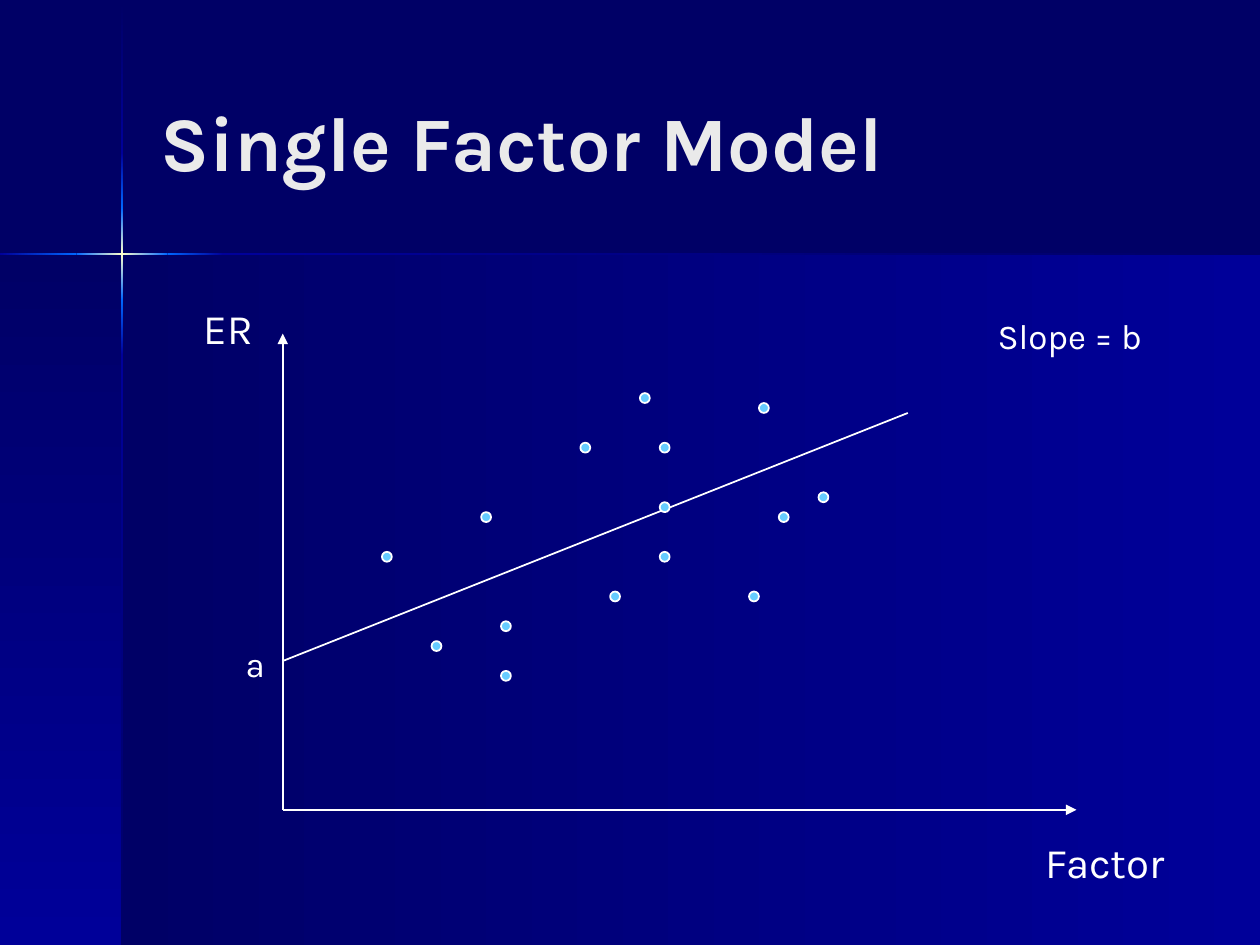
import copy
import itertools
from dataclasses import dataclass

import pptx
import pptx.dml.color
import pptx.enum.shapes
import pptx.enum.text
import pptx.oxml
import pptx.oxml.ns
import pptx.util

FONT = "Karla"
NAVY, BLUE, AZURE, GLINT = "000066", "000099", "0066FF", "FFFFCC"
WHITE, PALE, SKY = "FFFFFF", "EAEAEA", "66CCFF"

# The slide is a grid of 127 columns of square cells; row 0 sits just below the top
COLS, LAST_ROW = 127, 95.1
CELL = 10 / COLS
TOP = 0.01

DOWN, RIGHT = 270, 0  # gradient directions, counter-clockwise degrees
CROSS_COL, CROSS_ROW, RAY = 12.3, 25.5, 0.25


@dataclass
class Label:
    text: str
    col: float
    row: float
    cols: float
    rows: float
    size: int
    color: str = WHITE
    title: bool = False


@dataclass
class Line:
    start: tuple[float, float]
    end: tuple[float, float]
    arrow: bool = False


LABELS = [
    Label("Single Factor Model", 14.9, 4.05, 104.8, 19.95, 44, PALE, True),
    Label("ER", 19.3, 29.7, 7.5, 6.35, 24),
    Label("Factor", 104.1, 83.55, 15, 6.35, 24),
    Label("a", 23.5, 64, 4.45, 5.6, 20),
    Label("Slope = b", 99.3, 31, 17.65, 5.6, 20),
]
ORIGIN = (28.5, 81.5)
LINES = [
    Line(ORIGIN, (28.5, 33.5), True),
    Line(ORIGIN, (108.5, 81.5), True),
    Line((28.5, 66.5), (91.5, 41.5)),
]
# Centres of the observations, as column and row
POINTS = [(39, 56), (49, 52), (44, 65), (51, 63), (51, 68), (83, 50), (65, 40), (59, 45),
          (67, 51), (67, 56), (67, 45), (77, 41), (76, 60), (79, 52), (62, 60)]

# Rays of the star: edges along each arm and the colours between them
RAY_COLORS = [(NAVY, BLUE), (BLUE, AZURE), (AZURE, GLINT, AZURE), (AZURE, BLUE), (BLUE, NAVY)]
RAY_ROWS = [0, 15.25, 20.85, 30.1, 35.7, LAST_ROW]
RAY_COLS = [0, 7.7, 16.9, 22.5, COLS]


def rgb(color: str) -> pptx.dml.color.RGBColor:
    return pptx.dml.color.RGBColor.from_string(color)


def x(col: float) -> pptx.util.Emu:
    return pptx.util.Inches(col * CELL)


def y(row: float) -> pptx.util.Emu:
    return pptx.util.Inches(row * CELL + TOP)


def add_shape(slide, kind, col: float, row: float, cols: float, rows: float):
    sp = slide.shapes.add_shape(kind, x(col), y(row), x(cols), x(rows))
    sp.shadow.inherit = False
    return sp


def add_band(slide, col: float, row: float, cols: float, rows: float,
             colors: tuple[str, ...], angle: int) -> None:
    sp = add_shape(slide, pptx.enum.shapes.MSO_SHAPE.RECTANGLE, col, row, cols, rows)
    sp.line.fill.background()
    sp.fill.gradient()
    sp.fill.gradient_angle = angle
    # A new gradient has two stops; a third goes in the middle
    stops = next(sp._element.spPr.iter(pptx.oxml.ns.qn("a:gsLst")))
    if len(colors) == 3:
        middle = copy.deepcopy(stops[0])
        middle.set("pos", "50000")
        stops.insert(1, middle)
    for stop, color in zip(sp.fill.gradient_stops, colors):
        stop.color.rgb = rgb(color)


def add_backdrop(slide) -> None:
    slide.background.fill.solid()
    slide.background.fill.fore_color.rgb = rgb(NAVY)
    depth = LAST_ROW - CROSS_ROW
    add_band(slide, CROSS_COL, CROSS_ROW, COLS - CROSS_COL, depth, (NAVY, BLUE), RIGHT)
    add_band(slide, 0, CROSS_ROW, CROSS_COL, depth, (NAVY, BLUE), DOWN)
    for (start, end), colors in zip(itertools.pairwise(RAY_ROWS), RAY_COLORS):
        add_band(slide, CROSS_COL - RAY / 2, start, RAY, end - start, colors, DOWN)
    for (start, end), colors in zip(itertools.pairwise(RAY_COLS), RAY_COLORS[1:]):
        add_band(slide, start, CROSS_ROW - RAY / 2, end - start, RAY, colors, RIGHT)


def add_label(slide, label: Label) -> None:
    sp = slide.shapes.add_textbox(x(label.col), y(label.row), x(label.cols), x(label.rows))
    tf = sp.text_frame
    tf.word_wrap = label.title
    if label.title:
        tf.vertical_anchor = pptx.enum.text.MSO_ANCHOR.MIDDLE
    else:
        tf.auto_size = pptx.enum.text.MSO_AUTO_SIZE.SHAPE_TO_FIT_TEXT
    p = tf.paragraphs[0]
    p.text = label.text
    p.font.name = FONT
    p.font.size = pptx.util.Pt(label.size)
    p.font.bold = label.title
    p.font.color.rgb = rgb(label.color)


def add_line(slide, line: Line) -> None:
    (col1, row1), (col2, row2) = line.start, line.end
    sp = slide.shapes.add_connector(pptx.enum.shapes.MSO_CONNECTOR.STRAIGHT,
                                    x(col1), y(row1), x(col2), y(row2))
    sp.line.color.rgb = rgb(WHITE)
    sp.line.width = pptx.util.Pt(1)
    if line.arrow:
        tail = pptx.oxml.parse_xml(f'<a:tailEnd {pptx.oxml.ns.nsdecls("a")} type="triangle"/>')
        sp.line._get_or_add_ln().append(tail)
    sp._element.spPr.append(pptx.oxml.parse_xml(f'<a:effectLst {pptx.oxml.ns.nsdecls("a")}/>'))


def add_point(slide, col: float, row: float) -> None:
    sp = add_shape(slide, pptx.enum.shapes.MSO_SHAPE.OVAL, col - 0.5, row - 0.5, 1, 1)
    sp.fill.solid()
    sp.fill.fore_color.rgb = rgb(SKY)
    sp.line.color.rgb = rgb(WHITE)
    sp.line.width = pptx.util.Pt(1)


def main() -> None:
    prs = pptx.Presentation()
    prs.slide_width, prs.slide_height = pptx.util.Inches(10), pptx.util.Inches(7.5)
    s = prs.slides.add_slide(prs.slide_layouts[6])

    add_backdrop(s)
    # Axes and fitted line, then the observations on top
    for line in LINES:
        add_line(s, line)
    for col, row in POINTS:
        add_point(s, col, row)
    for label in LABELS:
        add_label(s, label)

    prs.save("out.pptx")


if __name__ == "__main__":
    main()
